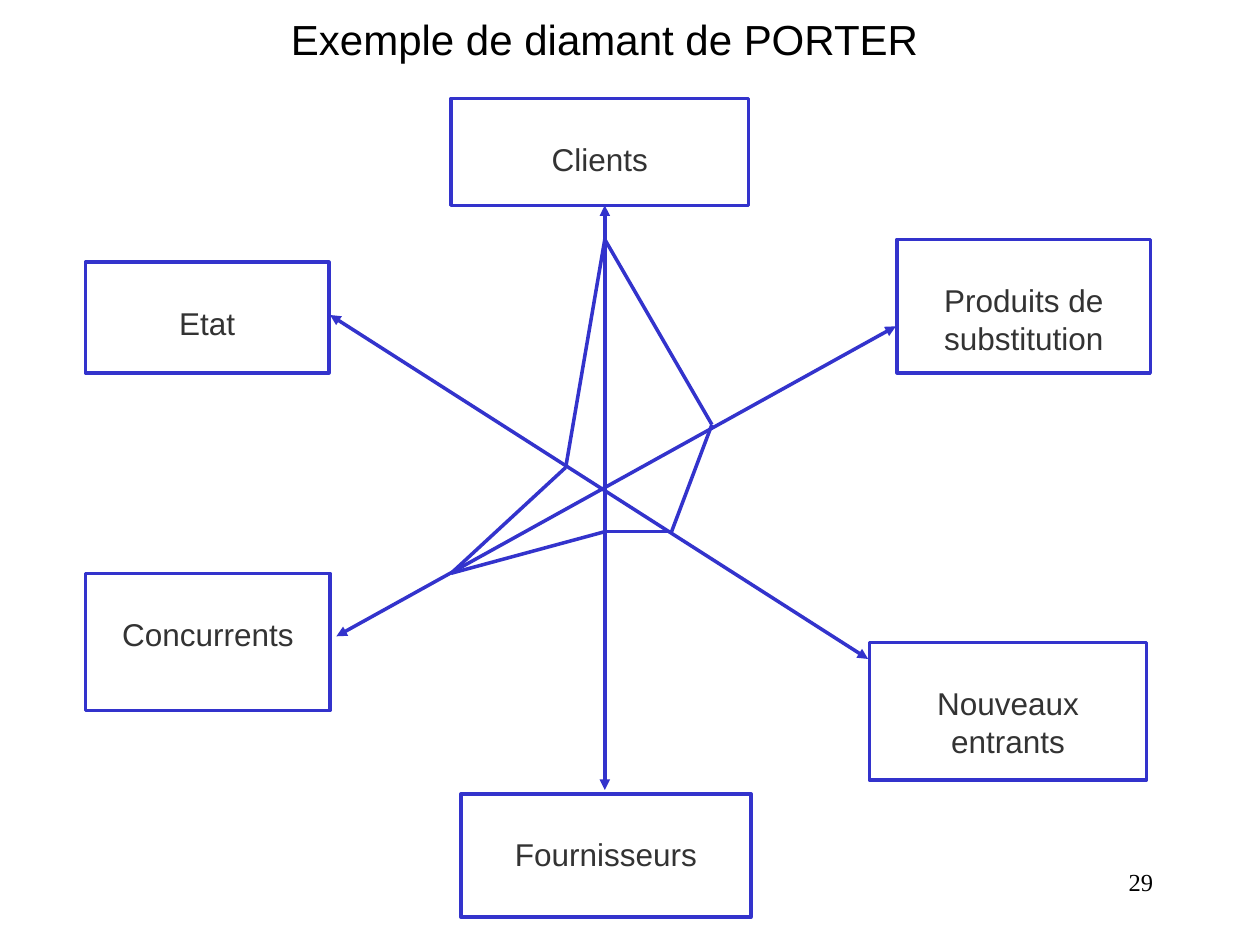
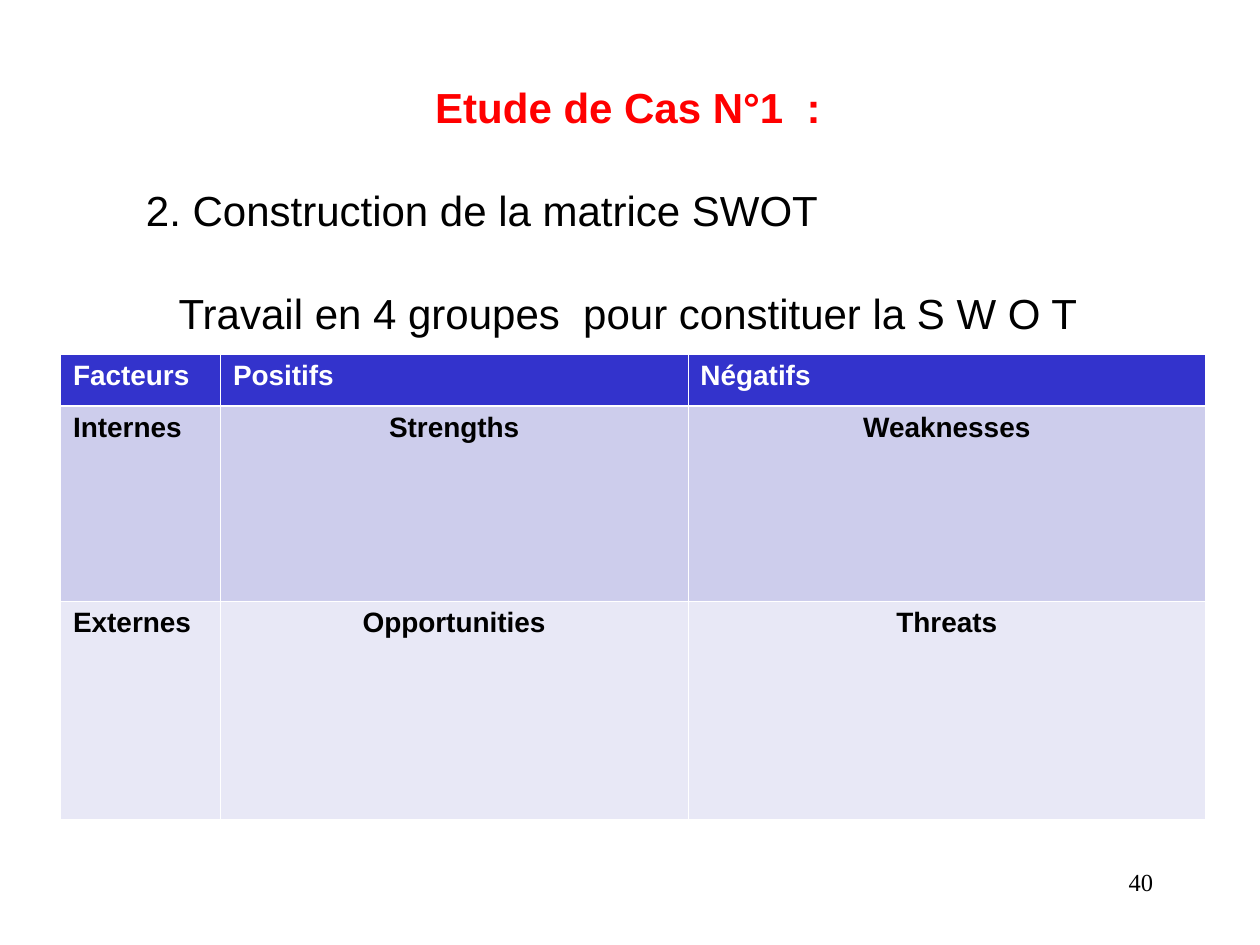
"""Build two strategy slides: a Porter diamond and a SWOT matrix."""
from dataclasses import dataclass
from itertools import pairwise
from typing import Any

from lxml import etree
from pptx import Presentation
from pptx.dml.color import RGBColor
from pptx.enum.shapes import MSO_CONNECTOR, MSO_SHAPE
from pptx.enum.text import MSO_ANCHOR, PP_ALIGN
from pptx.oxml.ns import qn
from pptx.slide import Slide
from pptx.text.text import TextFrame
from pptx.util import Inches, Pt

LEFT, CENTER, RIGHT = PP_ALIGN.LEFT, PP_ALIGN.CENTER, PP_ALIGN.RIGHT
TOP, MIDDLE = MSO_ANCHOR.TOP, MSO_ANCHOR.MIDDLE
RECT, STRAIGHT = MSO_SHAPE.RECTANGLE, MSO_CONNECTOR.STRAIGHT

BLUE = RGBColor(0x33, 0x33, 0xCC)
PALE = RGBColor(0xCD, 0xCD, 0xEC)
FAINT = RGBColor(0xE8, 0xE8, 0xF6)
WHITE = RGBColor(0xFF, 0xFF, 0xFF)
BLACK = RGBColor(0x00, 0x00, 0x00)
GREY = RGBColor(0x33, 0x33, 0x33)
RED = RGBColor(0xFF, 0x00, 0x00)

HEAD = {"name": "Arial", "size": Pt(24), "bold": False}
LABEL = {"name": "Arial", "size": Pt(18)}
CELL = {"name": "Arial", "size": Pt(16), "bold": True}
FOOT = {"name": "Times New Roman", "size": Pt(14)}

Point = tuple[float, float]


@dataclass(frozen=True)
class Para:
    """A line of text with its format."""
    text: str
    style: dict[str, Any]
    tint: RGBColor = BLACK
    align: PP_ALIGN = LEFT
    before: float = 0


@dataclass(frozen=True)
class Box:
    """A place on the slide, in inches, with an optional label."""
    left: float
    top: float
    width: float
    height: float
    label: str = ""

    def frame(self) -> list[int]:
        """Return the place as lengths."""
        return [Inches(n) for n in (self.left, self.top, self.width, self.height)]


FORCES = [
    Box(0.68, 2.08, 1.93, 0.88, "Etat"),
    Box(3.58, 0.78, 2.36, 0.85, "Clients"),
    Box(7.12, 1.9, 2.01, 1.06, "Produits de substitution"),
    Box(0.68, 4.55, 1.94, 1.09, "Concurrents"),
    Box(3.66, 6.3, 2.3, 0.98, "Fournisseurs"),
    Box(6.9, 5.1, 2.2, 1.09, "Nouveaux entrants"),
]
AXES = [
    ((2.62, 2.5), (6.89, 5.23)),
    ((2.67, 5.05), (7.11, 2.59)),
    ((4.8, 1.63), (4.8, 6.27)),
]
RATINGS = [(4.8, 1.9), (5.65, 3.37), (5.33, 4.22), (4.8, 4.22), (3.58, 4.55), (4.49, 3.71)]

COLUMNS = [1.27, 3.71, 4.11]
ROWS = [0.41, 1.55, 1.73]
MATRIX = [
    ["Facteurs", "Positifs", "Négatifs"],
    ["Internes", "Strengths", "Weaknesses"],
    ["Externes", "Opportunities", "Threats"],
]
FILLS = [BLUE, PALE, FAINT]
THIN, THICK = 0.45, 1.47


def write(frame: TextFrame, paras: list[Para], insets: tuple[float, ...],
          anchor: MSO_ANCHOR = TOP) -> None:
    """Fill a text frame; insets run left, top, right, bottom."""
    frame.word_wrap = True
    frame.vertical_anchor = anchor
    for side, inset in zip(("left", "top", "right", "bottom"), insets):
        setattr(frame, f"margin_{side}", Inches(inset))
    for i, para in enumerate(paras):
        line = frame.add_paragraph() if i else frame.paragraphs[0]
        line.text = para.text
        line.alignment = para.align
        if para.before:
            line.space_before = Pt(para.before)
        for key, value in para.style.items():
            setattr(line.font, key, value)
        line.font.color.rgb = para.tint


def add_text(slide: Slide, box: Box, paras: list[Para],
             insets: tuple[float, ...] = (0.1, 0.05, 0.1, 0.05),
             anchor: MSO_ANCHOR = TOP) -> None:
    """Add a text box."""
    write(slide.shapes.add_textbox(*box.frame()).text_frame, paras, insets, anchor)


def add_page(slide: Slide, page: str) -> None:
    """Add the page number."""
    add_text(slide, Box(7.17, 6.83, 2.08, 0.5), [Para(page, FOOT, align=RIGHT)])


def add_force(slide: Slide, box: Box) -> None:
    """Add a framed force of the market."""
    shape = slide.shapes.add_shape(RECT, *box.frame())
    shape.shadow.inherit = False
    shape.fill.solid()
    shape.fill.fore_color.rgb = WHITE
    shape.line.color.rgb = BLUE
    shape.line.width = Pt(2)
    write(shape.text_frame, [Para(box.label, LABEL, GREY, CENTER)], (0.08, 0.33, 0.08, 0.04))


def add_line(slide: Slide, start: Point, end: Point, arrows: bool = False) -> None:
    """Add a straight line, with arrows at both ends if asked."""
    line = slide.shapes.add_connector(STRAIGHT, *(Inches(n) for n in start + end))
    line.line.color.rgb = BLUE
    line.line.width = Pt(2)
    props = line.element.spPr
    if arrows:
        for tag in ("a:headEnd", "a:tailEnd"):
            etree.SubElement(props.find(qn("a:ln")), qn(tag), type="triangle")
    etree.SubElement(props, qn("a:effectLst"))


def add_edge(props: Any, side: str, width: float) -> None:
    """Add a white border to one side of a cell."""
    edge = etree.SubElement(props, qn(f"a:ln{side}"), w=str(Pt(width)))
    fill = etree.SubElement(edge, qn("a:solidFill"))
    etree.SubElement(fill, qn("a:srgbClr"), val=str(WHITE))


def add_matrix(slide: Slide, left: float, top: float) -> None:
    """Add the SWOT table."""
    box = Box(left, top, sum(COLUMNS), sum(ROWS))
    table = slide.shapes.add_table(len(ROWS), len(COLUMNS), *box.frame()).table
    for col, width in zip(table.columns, COLUMNS):
        col.width = Inches(width)
    for r, (height, words) in enumerate(zip(ROWS, MATRIX)):
        table.rows[r].height = Inches(height)
        edges = {"L": THIN, "R": THIN, "T": THICK if r == 1 else THIN,
                 "B": THICK if r == 0 else THIN}
        for c, word in enumerate(words):
            cell = table.cell(r, c)
            props = cell._tc.get_or_add_tcPr()
            for side, width in edges.items():
                add_edge(props, side, width)
            cell.fill.solid()
            cell.fill.fore_color.rgb = FILLS[r]
            para = Para(word, CELL, BLACK if r else WHITE, CENTER if r and c else LEFT)
            write(cell.text_frame, [para], ())


def draw_diamond(slide: Slide) -> None:
    """Draw the Porter diamond."""
    add_text(slide, Box(2.13, 0.06, 5.34, 0.5),
             [Para("Exemple de diamant de PORTER", HEAD)], (0.18, 0.05, 0.1, 0.05), MIDDLE)
    for start, end in AXES:
        add_line(slide, start, end, arrows=True)
    for box in FORCES:
        add_force(slide, box)
    for start, end in pairwise(RATINGS + RATINGS[:1]):
        add_line(slide, start, end)
    add_page(slide, "29")


def draw_swot(slide: Slide) -> None:
    """Draw the SWOT case study."""
    add_page(slide, "40")
    add_text(slide, Box(1.06, 0.6, 7.95, 2.5), [
        Para("Etude de Cas N°1  :", HEAD | {"bold": True}, RED, CENTER),
        Para("2. Construction de la matrice SWOT", HEAD, before=30),
        Para("Travail en 4 groupes  pour constituer la S W O T", HEAD, align=CENTER, before=30),
    ], (0.1, 0.05, 0.2, 0.05))
    add_matrix(slide, 0.48, 2.81)


def main() -> None:
    """Build and save the deck."""
    deck = Presentation()
    deck.slide_width, deck.slide_height = Inches(10), Inches(7.5)
    for draw in (draw_diamond, draw_swot):
        draw(deck.slides.add_slide(deck.slide_layouts[6]))
    deck.save("out.pptx")


if __name__ == "__main__":
    main()
